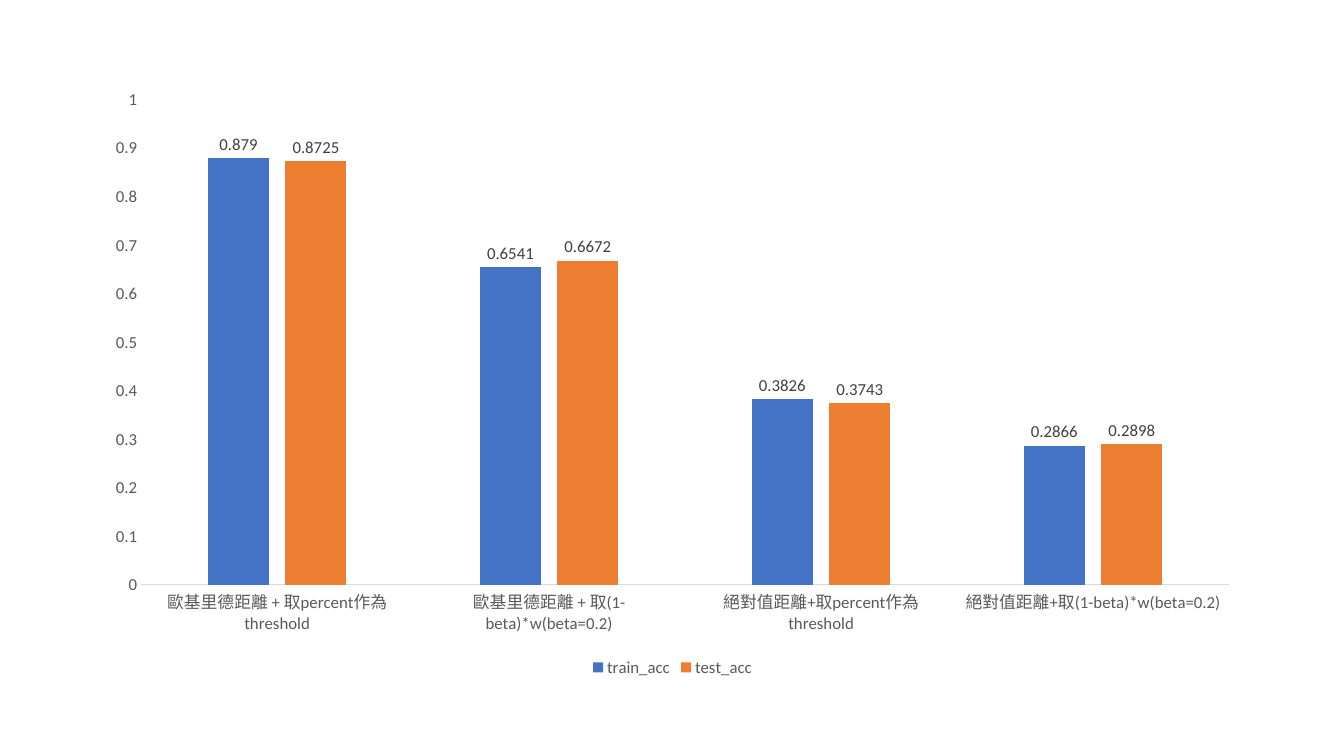
"""Build a slide with a column chart of train and test accuracy."""
from pptx import Presentation
from pptx.chart import data as cd
from pptx.dml.color import RGBColor
from pptx.enum import chart as ec
from pptx.util import Inches, Pt

BLUE = RGBColor(0x44, 0x72, 0xC4)
ORANGE = RGBColor(0xED, 0x7D, 0x31)
GREY = RGBColor(0x59, 0x59, 0x59)
DARK = RGBColor(0x40, 0x40, 0x40)
PALE = RGBColor(0xD9, 0xD9, 0xD9)


def style(font, color):
    font.name = "Calibri"
    font.size = Pt(12)
    font.color.rgb = color


deck = Presentation()
deck.slide_width = Inches(13.33)
deck.slide_height = Inches(7.5)
slide = deck.slides.add_slide(deck.slide_layouts[6])

data = cd.CategoryChartData(number_format="General")
data.categories = [
    "歐基里德距離 + 取percent作為threshold",
    "歐基里德距離 + 取(1-beta)*w(beta=0.2)",
    "絕對值距離+取percent作為threshold",
    "絕對值距離+取(1-beta)*w(beta=0.2)",
]
data.add_series("train_acc", (0.879, 0.6541, 0.3826, 0.2866))
data.add_series("test_acc", (0.8725, 0.6672, 0.3743, 0.2898))

chart = slide.shapes.add_chart(
    ec.XL_CHART_TYPE.COLUMN_CLUSTERED,
    Inches(0.92), Inches(0.77), Inches(11.5), Inches(5.99), data,
).chart
style(chart.font, GREY)
chart.has_title = False
chart.has_legend = True
chart.legend.position = ec.XL_LEGEND_POSITION.BOTTOM
chart.legend.include_in_layout = False
style(chart.legend.font, GREY)

for axis in (chart.category_axis, chart.value_axis):
    axis.has_major_gridlines = False
    axis.major_tick_mark = ec.XL_TICK_MARK.NONE
    axis.minor_tick_mark = ec.XL_TICK_MARK.NONE
    style(axis.tick_labels.font, GREY)
chart.category_axis.format.line.color.rgb = PALE
chart.category_axis.format.line.width = Pt(0.75)
chart.value_axis.format.line.fill.background()
chart.value_axis.minimum_scale = 0
chart.value_axis.maximum_scale = 1
chart.value_axis.major_unit = 0.1

plot = chart.plots[0]
plot.gap_width = 219
plot.overlap = -27
plot.vary_by_categories = False
for bars, color in zip(plot.series, (BLUE, ORANGE)):
    bars.format.fill.solid()
    bars.format.fill.fore_color.rgb = color
    bars.invert_if_negative = False
    labels = bars.data_labels
    labels.show_value = True
    labels.position = ec.XL_LABEL_POSITION.OUTSIDE_END
    style(labels.font, DARK)

deck.save("out.pptx")
